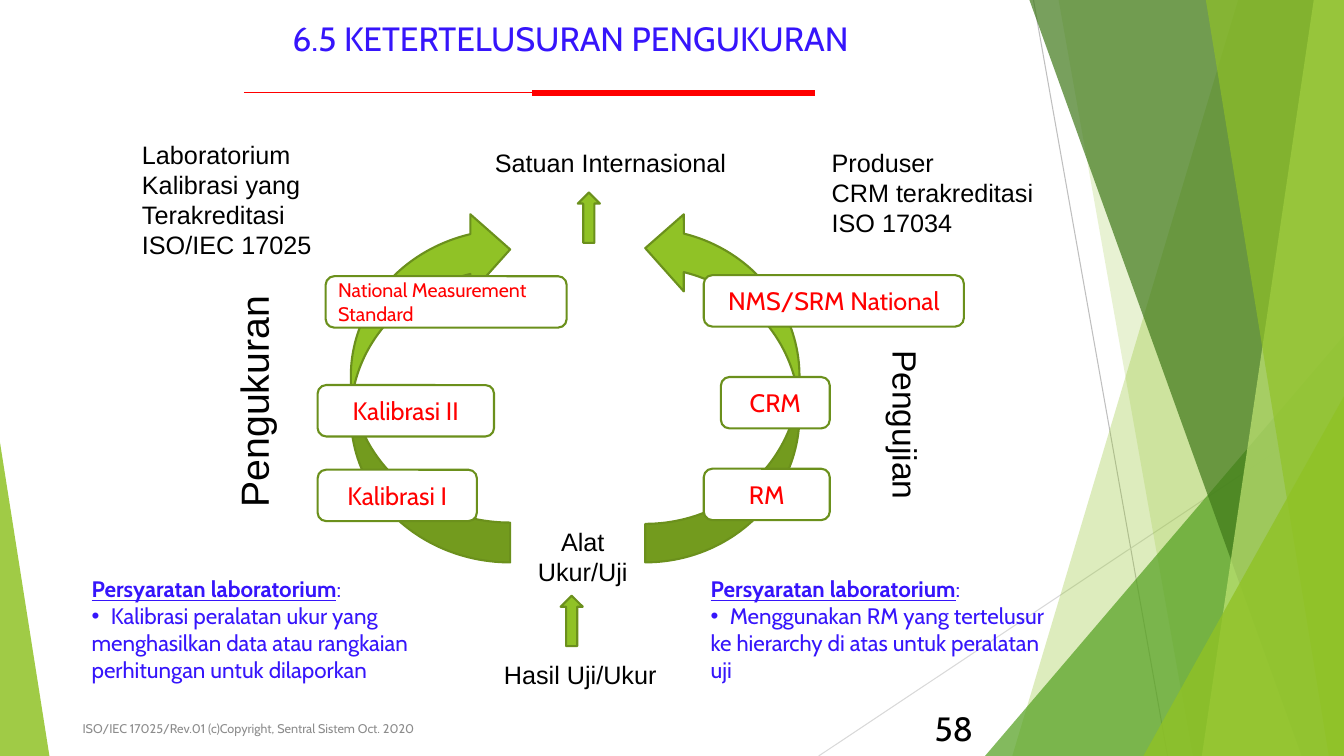
from dataclasses import dataclass
from typing import Optional

import lxml.etree
import pptx
import pptx.dml.color
import pptx.enum.shapes
import pptx.enum.text
import pptx.oxml.ns
import pptx.shapes.autoshape
import pptx.slide
import pptx.text.text
import pptx.util

RGBColor = pptx.dml.color.RGBColor
MSO_SHAPE = pptx.enum.shapes.MSO_SHAPE
PP_ALIGN = pptx.enum.text.PP_ALIGN
MSO_ANCHOR = pptx.enum.text.MSO_ANCHOR
qn = pptx.oxml.ns.qn
Shape = pptx.shapes.autoshape.Shape

EMU_PER_PX = 9144
SLIDE_W, SLIDE_H = 1333, 750

GREEN = RGBColor(0x90, 0xC2, 0x26)
LEAF = RGBColor(0x54, 0xA0, 0x21)
FOREST = RGBColor(0x3F, 0x78, 0x19)
LIME = RGBColor(0xC0, 0xE4, 0x74)
OLIVE = RGBColor(0x6B, 0x90, 0x1C)
RED = RGBColor(0xFF, 0x00, 0x00)
BLUE = RGBColor(0x36, 0x15, 0xFB)
BLACK = RGBColor(0x00, 0x00, 0x00)
WHITE = RGBColor(0xFF, 0xFF, 0xFF)
GRAY = RGBColor(0x8C, 0x8C, 0x8C)
SILVER = RGBColor(0xBF, 0xBF, 0xBF)
PALE = RGBColor(0xD9, 0xD9, 0xD9)


@dataclass(frozen=True)
class Box:
    left: int
    top: int
    width: int
    height: int


@dataclass(frozen=True)
class Line:
    x1: int
    y1: int
    x2: int
    y2: int
    color: RGBColor
    weight: float


@dataclass(frozen=True)
class Facet:
    top_x: int
    bottom_x: int
    color: RGBColor
    opacity: int


@dataclass(frozen=True)
class Corner:
    box: Box
    apex: int
    color: RGBColor
    opacity: int


@dataclass(frozen=True)
class Arrow:
    kind: MSO_SHAPE
    box: Box
    flipped: bool = False


@dataclass(frozen=True)
class Step:
    text: str
    box: Box
    size: int = 18
    align: PP_ALIGN = PP_ALIGN.CENTER


@dataclass(frozen=True)
class Label:
    lines: tuple[str, ...]
    box: Box
    size: int = 18
    font: str = "Arial"
    color: RGBColor = BLACK
    align: PP_ALIGN = PP_ALIGN.LEFT
    anchor: MSO_ANCHOR = MSO_ANCHOR.TOP
    rotation: int = 0
    wrap: bool = False


@dataclass(frozen=True)
class Requirement:
    box: Box
    lines: tuple[str, ...]


HAIRLINES = (
    Line(1025, 0, 1158, 750, SILVER, 0.75),
    Line(1333, 403, 812, 750, PALE, 0.75),
)
TITLE_RULES = (
    Line(242, 92, 808, 92, RED, 1),
    Line(528, 92, 808, 92, RED, 4.5),
)
BACKDROP = (
    Facet(1228, 1004, GREEN, 30),
    Facet(1050, 1183, GREEN, 20),
    Corner(Box(977, 333, 356, 417), 1, LEAF, 72),
    Facet(1021, 1291, FOREST, 70),
    Facet(1303, 1192, LIME, 70),
    Facet(1196, 1318, GREEN, 65),
    Corner(Box(1134, 393, 199, 357), 1, GREEN, 80),
    Corner(Box(0, 439, 49, 311), 0, GREEN, 85),
)
ARROWS = (
    Arrow(MSO_SHAPE.CURVED_LEFT_ARROW, Box(640, 208, 153, 350), True),
    Arrow(MSO_SHAPE.CURVED_RIGHT_ARROW, Box(348, 208, 158, 350), True),
    Arrow(MSO_SHAPE.UP_ARROW, Box(556, 591, 22, 50)),
    Arrow(MSO_SHAPE.UP_ARROW, Box(573, 191, 22, 50)),
)
STEPS = (
    Step("Kalibrasi I", Box(315, 466, 158, 51)),
    Step("Kalibrasi II", Box(315, 382, 175, 51)),
    Step("National Measurement Standard", Box(323, 274, 239, 51), 14, PP_ALIGN.LEFT),
    Step("RM", Box(698, 465, 125, 51)),
    Step("CRM", Box(715, 374, 108, 51)),
    Step("NMS/SRM National", Box(698, 273, 258, 51)),
)
LABELS = (
    Label(("Pengukuran",), Box(135, 368, 233, 57), 28, rotation=270),
    Label(("Pengujian",), Box(813, 397, 170, 51), 24, rotation=90),
    Label(("Hasil Uji/Ukur",), Box(490, 649, 173, 40)),
    Label(("Alat", "Ukur/Uji"), Box(523, 517, 110, 71), align=PP_ALIGN.CENTER),
    Label(("Satuan Internasional",), Box(481, 141, 252, 40)),
    Label(("Laboratorium", "Kalibrasi yang", "Terakreditasi", "ISO/IEC 17025"), Box(131, 133, 190, 131)),
    Label(("Produser", "CRM terakreditasi", "ISO 17034"), Box(815, 141, 222, 101)),
    Label(("ISO/IEC 17025/Rev.01 (c)Copyright, Sentral Sistem Oct. 2020",), Box(72, 703, 689, 40),
          9, "Cabin", GRAY, anchor=MSO_ANCHOR.MIDDLE, wrap=True),
    Label(("58",), Box(900, 702, 75, 40), 24, "Cabin", align=PP_ALIGN.RIGHT, anchor=MSO_ANCHOR.MIDDLE, wrap=True),
)
REQUIREMENTS = (
    Requirement(Box(81, 566, 369, 118), ("Kalibrasi peralatan ukur yang", "menghasilkan data atau rangkaian",
                                         "perhitungan untuk dilaporkan")),
    Requirement(Box(695, 566, 394, 118), ("Menggunakan RM yang tertelusur", "ke hierarchy di atas untuk peralatan",
                                          "uji")),
)


def px(n: int) -> pptx.util.Emu:
    return pptx.util.Emu(n * EMU_PER_PX)


def frame(box: Box) -> tuple[pptx.util.Emu, ...]:
    return px(box.left), px(box.top), px(box.width), px(box.height)


def add_run(p: pptx.text.text._Paragraph, text: str, size: int, font: str, color: RGBColor,
            heading: bool = False) -> None:
    r = p.add_run()
    r.text = text
    r.font.size = pptx.util.Pt(size)
    r.font.name = font
    r.font.color.rgb = color
    r.font.bold = r.font.underline = heading


def add_line(s: pptx.slide.Slide, line: Line) -> None:
    ends = (px(n) for n in (line.x1, line.y1, line.x2, line.y2))
    cx = s.shapes.add_connector(pptx.enum.shapes.MSO_CONNECTOR.STRAIGHT, *ends)
    cx.line.color.rgb = line.color
    cx.line.width = pptx.util.Pt(line.weight)
    lxml.etree.SubElement(cx._element.spPr, qn("a:effectLst"))


def add_backdrop(s: pptx.slide.Slide, part: Facet | Corner) -> None:
    if isinstance(part, Facet):
        builder = s.shapes.build_freeform(part.top_x, 0, EMU_PER_PX)
        builder.add_line_segments(((SLIDE_W, 0), (SLIDE_W, SLIDE_H), (part.bottom_x, SLIDE_H)))
        sp = builder.convert_to_shape()
    else:
        sp = s.shapes.add_shape(MSO_SHAPE.ISOSCELES_TRIANGLE, *frame(part.box))
        sp.adjustments[0] = part.apex
    sp.shadow.inherit = False
    sp.fill.solid()
    sp.fill.fore_color.rgb = part.color
    sp.line.fill.background()
    color = sp._element.spPr.find(qn("a:solidFill")).find(qn("a:srgbClr"))
    lxml.etree.SubElement(color, qn("a:alpha"), val=str(part.opacity * 1000))


def add_outlined(s: pptx.slide.Slide, kind: MSO_SHAPE, box: Box, fill: RGBColor) -> Shape:
    sp = s.shapes.add_shape(kind, *frame(box))
    sp.shadow.inherit = False
    sp.fill.solid()
    sp.fill.fore_color.rgb = fill
    sp.line.color.rgb = OLIVE
    sp.line.width = pptx.util.Pt(1.5)
    return sp


def add_arrow(s: pptx.slide.Slide, arrow: Arrow) -> None:
    sp = add_outlined(s, arrow.kind, arrow.box, GREEN)
    if arrow.flipped:
        sp._element.spPr.find(qn("a:xfrm")).set("flipV", "1")


def add_step(s: pptx.slide.Slide, step: Step) -> None:
    tf = add_outlined(s, MSO_SHAPE.ROUNDED_RECTANGLE, step.box, WHITE).text_frame
    tf.vertical_anchor = MSO_ANCHOR.MIDDLE
    p = tf.paragraphs[0]
    p.alignment = step.align
    add_run(p, step.text, step.size, "Cabin", RED)


def add_label(s: pptx.slide.Slide, label: Label) -> None:
    sp = s.shapes.add_textbox(*frame(label.box))
    sp.rotation = label.rotation
    tf = sp.text_frame
    tf.word_wrap = label.wrap
    tf.vertical_anchor = label.anchor
    for i, text in enumerate(label.lines):
        p = tf.add_paragraph() if i else tf.paragraphs[0]
        p.alignment = label.align
        add_run(p, text, label.size, label.font, label.color)


def add_requirement(s: pptx.slide.Slide, req: Requirement) -> None:
    tf = s.shapes.add_textbox(*frame(req.box)).text_frame
    tf.word_wrap = True
    p = tf.paragraphs[0]
    add_run(p, "Persyaratan laboratorium", 16, "Cabin", BLUE, True)
    add_run(p, ":", 16, "Cabin", BLUE)
    for i, text in enumerate(req.lines):
        p = tf.add_paragraph()
        if i == 0:
            pPr = p._p.get_or_add_pPr()
            pPr.set("marL", str(px(19)))
            pPr.set("indent", str(px(-19)))
            lxml.etree.SubElement(pPr, qn("a:buFont"), typeface="Arial")
            lxml.etree.SubElement(pPr, qn("a:buChar"), char="•")
        add_run(p, text, 16, "Cabin", BLUE)


def set_title(s: pptx.slide.Slide, text: str, box: Box) -> None:
    sp = s.shapes.title
    sp.left, sp.top, sp.width, sp.height = frame(box)
    tf = sp.text_frame
    tf.auto_size = pptx.enum.text.MSO_AUTO_SIZE.NONE
    tf.vertical_anchor = MSO_ANCHOR.MIDDLE
    p = tf.paragraphs[0]
    p.alignment = PP_ALIGN.LEFT
    add_run(p, text, 24, "Cabin", BLUE)


def main() -> None:
    prs = pptx.Presentation()
    prs.slide_width, prs.slide_height = px(SLIDE_W), px(SLIDE_H)
    s = prs.slides.add_slide(prs.slide_layouts[5])
    set_title(s, "6.5 KETERTELUSURAN PENGUKURAN", Box(280, 4, 906, 68))
    for draw, items in (
        (add_line, HAIRLINES),
        (add_backdrop, BACKDROP),
        (add_line, TITLE_RULES),
        (add_arrow, ARROWS),
        (add_step, STEPS),
        (add_label, LABELS),
        (add_requirement, REQUIREMENTS),
    ):
        for item in items:
            draw(s, item)
    prs.save("out.pptx")


if __name__ == "__main__":
    main()
